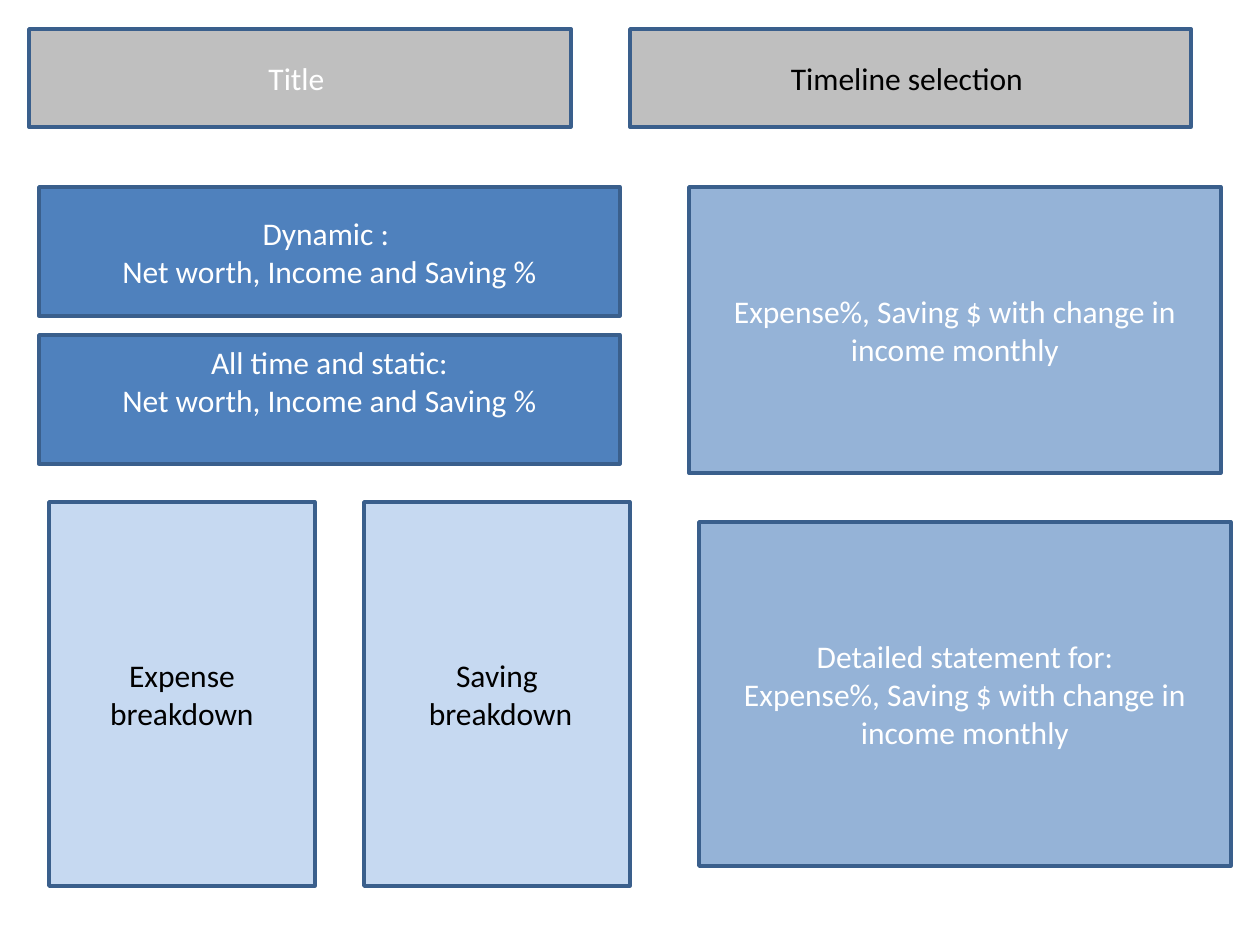
"""Build a one-page wireframe of a personal finance dashboard."""
from pptx import Presentation
from pptx import util as u
from pptx.dml.color import RGBColor
from pptx.enum import shapes, text

SCALE = 914400 / 126
WHITE, BLACK, OUTLINE = "FFFFFF", "000000", "3A5F8C"
HEADER, SUMMARY, BREAKDOWN, DETAIL = "BFBFBF", "4F81BD", "C6D9F1", "95B3D7"
METRICS = "Net worth, Income and Saving %"
TREND = "Expense%, Saving $ with change in income monthly"


def px(length):
    return u.Emu(round(length * SCALE))


def write(frame, lines, color=WHITE, size=18, font="Calibri", bottom=6):
    frame.word_wrap = True
    frame.vertical_anchor = text.MSO_ANCHOR.MIDDLE
    frame.margin_bottom = px(bottom)
    for index, line in enumerate(lines):
        para = frame.paragraphs[0] if index == 0 else frame.add_paragraph()
        para.alignment = text.PP_ALIGN.CENTER
        span = para.add_run()
        span.text = line
        span.font.name = font
        span.font.size = u.Pt(size)
        span.font.color.rgb = RGBColor.from_string(color)


deck = Presentation()
deck.slide_width, deck.slide_height = px(1260), px(945)
page = deck.slides.add_slide(deck.slide_layouts[6])

panels = [
    ((29, 29, 542, 98), HEADER, ["Title "], {}),
    ((39, 187, 581, 129), SUMMARY, ["Dynamic : ", METRICS], {}),
    ((39, 335, 581, 129), SUMMARY, ["All time and static:", METRICS], {"bottom": 44}),
    ((49, 502, 266, 384), BREAKDOWN, ["Expense breakdown"], {"color": BLACK}),
    ((364, 502, 266, 384), BREAKDOWN, ["Saving", " breakdown"], {"color": BLACK}),
    ((630, 29, 561, 98), HEADER, ["Timeline selection "], {"color": BLACK}),
    ((689, 187, 532, 286), DETAIL, [TREND], {}),
    ((699, 522, 532, 344), DETAIL, ["Detailed statement for:", TREND], {}),
]
for place, fill, lines, style in panels:
    box = page.shapes.add_shape(shapes.MSO_SHAPE.RECTANGLE, *map(px, place))
    box.shadow.inherit = False
    box.fill.solid()
    box.fill.fore_color.rgb = RGBColor.from_string(fill)
    box.line.color.rgb = RGBColor.from_string(OUTLINE)
    box.line.width = u.Pt(2)
    write(box.text_frame, lines, **style)

deck.save("out.pptx")
